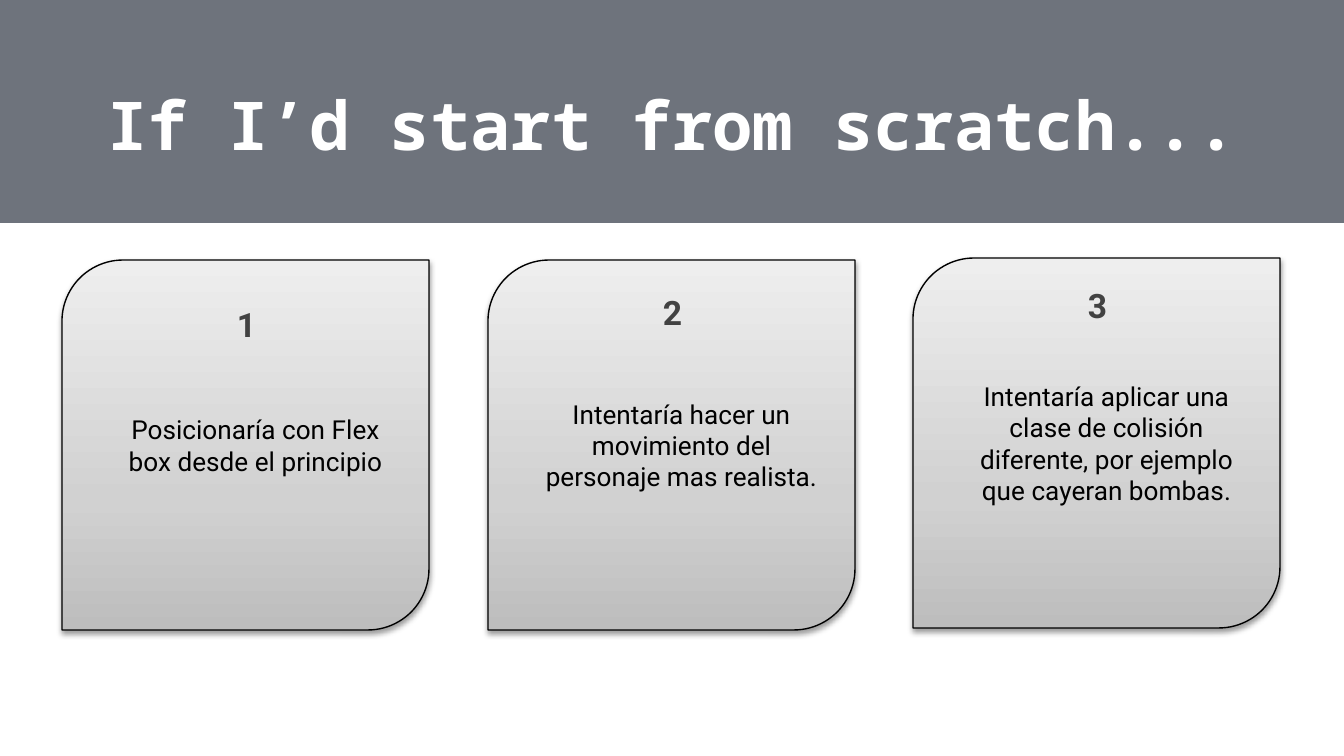
import copy

import pptx
import pptx.dml.color
import pptx.enum.shapes
import pptx.enum.text
import pptx.oxml
import pptx.oxml.ns
import pptx.util

PX = 914400 / 134.4
STOPS = [(0, "BDBDBD"), (0.35, "D1D1D1"), (1, "EEEEEE")]
CARDS = [
    (62, 260, 17, "Posicionaría con Flex box desde el principio"),
    (488, 260, 5, "Intentaría hacer un movimiento del personaje mas realista."),
    (913, 258, 0, "Intentaría aplicar una clase de colisión diferente, "
                  "por ejemplo que cayeran bombas."),
]
SHADOW = (
    '<a:outerShdw xmlns:a="http://schemas.openxmlformats.org/drawingml/2006/main" '
    'blurRad="39370" dist="20320" dir="5400000" rotWithShape="0">'
    '<a:srgbClr val="000000"><a:alpha val="38000"/></a:srgbClr></a:outerShdw>'
)


def rgb(value):
    """Return the colour for a hex string."""
    return pptx.dml.color.RGBColor.from_string(value)


def box(*lengths):
    """Convert px lengths to EMU."""
    return [pptx.util.Emu(round(n * PX)) for n in lengths]


def write(sp, text, size, font, color, bold, anchor):
    """Fill a shape with one centred paragraph and return it."""
    tf = sp.text_frame
    tf.word_wrap = True
    tf.auto_size = pptx.enum.text.MSO_AUTO_SIZE.NONE
    tf.vertical_anchor = anchor
    tf.margin_left = tf.margin_right = pptx.util.Inches(0.1)
    tf.margin_top = tf.margin_bottom = pptx.util.Inches(0.1)
    p = tf.paragraphs[0]
    p.text = text
    p.alignment = pptx.enum.text.PP_ALIGN.CENTER
    p.font.size = pptx.util.Pt(size)
    p.font.name = font
    p.font.bold = bold
    p.font.color.rgb = rgb(color)
    return p


def add_header(s, x, y, w, h, text):
    """Draw the title band and place the title in it."""
    band = s.shapes.add_shape(
        pptx.enum.shapes.MSO_SHAPE.RECTANGLE, *box(x, y, w, h))
    band.shadow.inherit = False
    band.fill.solid()
    band.fill.fore_color.rgb = rgb("6E737C")
    band.line.fill.background()
    title = s.shapes.title
    title._element.addprevious(band._element)
    title.left, title.top, title.width, title.height = box(
        x + 63, y + 47, w - 126, 153)
    write(title, text, 36, "Noto Sans Mono", "FFFFFF", True,
          pptx.enum.text.MSO_ANCHOR.MIDDLE)


def style_card(sp):
    """Give a card its gradient, outline and shadow."""
    sp.fill.gradient()
    sp.fill.gradient_angle = 90
    spPr = sp._element.spPr
    first = spPr.find(".//" + pptx.oxml.ns.qn("a:gs"))
    first.addnext(copy.deepcopy(first))
    for stop, (position, color) in zip(sp.fill.gradient_stops, STOPS):
        stop.position = position
        stop.color.rgb = rgb(color)
    sp.line.color.rgb = rgb("000000")
    sp.line.width = pptx.util.Pt(0.75)
    sp.shadow.inherit = False
    effects = spPr.find(pptx.oxml.ns.qn("a:effectLst"))
    effects.append(pptx.oxml.parse_xml(SHADOW))


def add_card(s, x, y, w, h, number, offset, text):
    """Draw a card with its text and its number near the top."""
    sp = s.shapes.add_shape(
        pptx.enum.shapes.MSO_SHAPE.ROUND_2_DIAG_RECTANGLE, *box(x, y, w, h))
    style_card(sp)
    p = write(sp, text, 14, "Roboto", "000000", False,
              pptx.enum.text.MSO_ANCHOR.MIDDLE)
    p._p.get_or_add_pPr().set("marL", str(pptx.util.Inches(0.15)))
    label = s.shapes.add_textbox(*box(x + 2, y + offset, w - 2, 81))
    write(label, str(number), 18, "Roboto", "424242", True,
          pptx.enum.text.MSO_ANCHOR.BOTTOM)


def main():
    """Build and save the slide."""
    prs = pptx.Presentation()
    prs.slide_width, prs.slide_height = box(1344, 756)
    s = prs.slides.add_slide(prs.slide_layouts.get_by_name("Title Only"))
    add_header(s, 0, 0, 1344, 223, "If I’d start from scratch...")
    for number, (x, y, offset, text) in enumerate(CARDS, 1):
        add_card(s, x, y, 367, 370, number, offset, text)
    prs.save("out.pptx")


if __name__ == "__main__":
    main()
